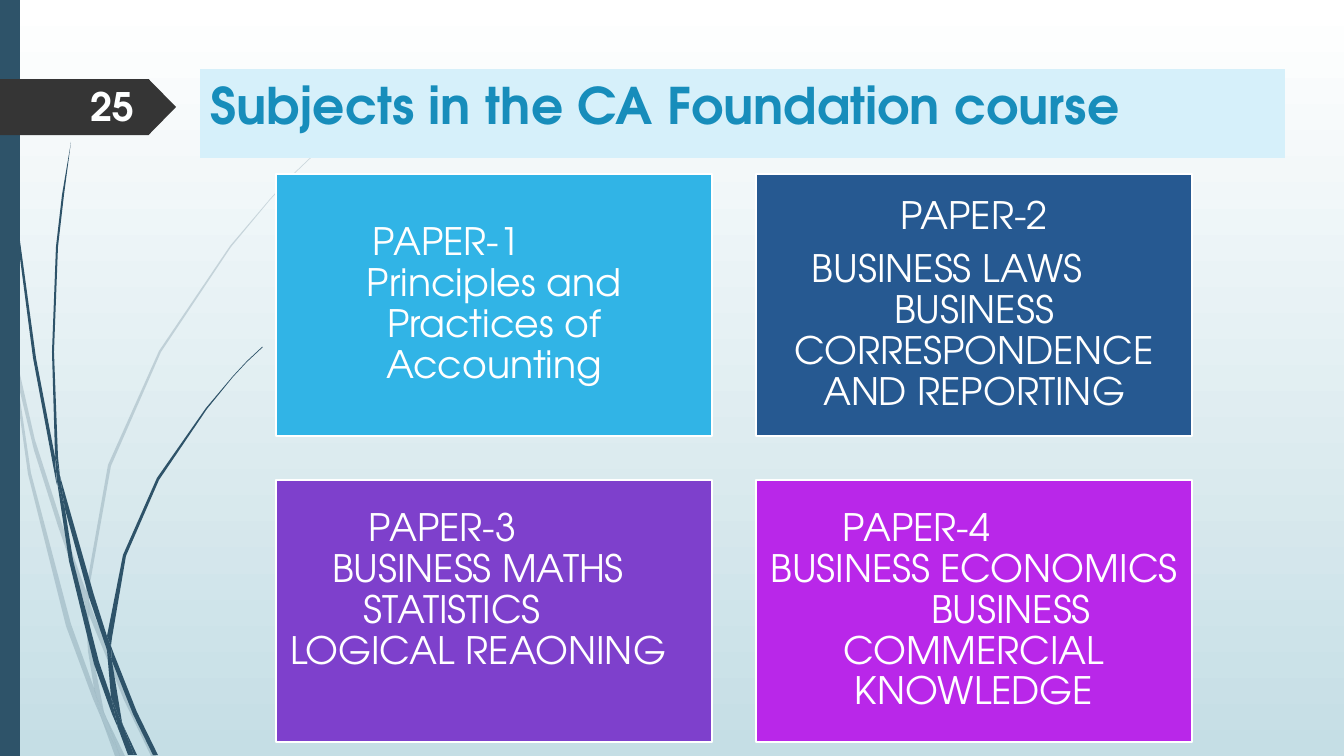
"""Build the slide on the subjects of the CA Foundation course."""
from lxml.etree import SubElement
from pptx import Presentation
from pptx.dml.color import RGBColor
from pptx.enum.shapes import MSO_SHAPE as Shape
from pptx.enum.text import MSO_ANCHOR as Anchor, MSO_AUTO_SIZE as AutoSize, PP_ALIGN as Align
from pptx.oxml.ns import qn
from pptx.util import Emu, Pt

SCALE = 914400 / 100.8
WIDTH, HEIGHT = 1344, 756
NAVY, WHITE = "2E5369", "FFFFFF"

FADED_BLADES = [
    [(11, 353), (9, 325), (0, 284), (0, 301), (10, 347)],
    [(58, 526), (85, 604), (86, 591), (62, 524), (35, 440), (14, 348), (17, 379), (34, 450)],
    [(93, 612), (89, 601), (89, 615), (124, 700), (151, 756), (156, 756), (128, 698)],
    [(120, 756), (125, 756), (106, 717)],
    [(94, 688), (71, 624), (31, 473), (17, 379), (11, 353), (28, 474), (66, 626), (93, 699),
     (102, 720), (100, 713)],
    [(85, 604), (88, 651), (94, 688), (97, 698), (106, 717), (104, 712), (92, 651), (89, 615),
     (89, 613)],
    [(89, 589), (111, 466), (161, 352), (231, 247), (270, 200), (292, 176), (314, 155),
     (314, 154), (291, 176), (270, 199), (230, 246), (159, 351), (108, 465), (86, 589),
     (86, 591), (89, 601)],
    [(102, 720), (115, 756), (120, 756)],
    [(89, 613), (89, 615), (89, 601), (86, 591), (85, 604)],
    [(97, 698), (94, 688), (100, 713), (102, 720), (120, 756), (106, 717)],
]
DARK_BLADES = [
    [(7, 111), (17, 235), (33, 358), (56, 481), (57, 485), (55, 461), (55, 457), (36, 358),
     (19, 234), (8, 110), (5, 48), (4, 0), (3, 0), (4, 48)],
    [(89, 597), (107, 650), (107, 638), (107, 636), (94, 595), (60, 476), (65, 509)],
    [(114, 654), (111, 646), (112, 661), (133, 714), (153, 755), (158, 755), (137, 712)],
    [(111, 697), (99, 662), (73, 560), (65, 509), (57, 481), (69, 561), (94, 664), (112, 714),
     (118, 728), (117, 723)],
    [(60, 476), (58, 457), (54, 352), (58, 247), (64, 195), (71, 142), (62, 195), (56, 247),
     (52, 352), (55, 453)],
    [(134, 755), (137, 755), (123, 725)],
    [(57, 481), (65, 509), (60, 476), (55, 453), (55, 457)],
    [(112, 638), (126, 556), (159, 480), (207, 409), (233, 377), (247, 362), (263, 347),
     (262, 347), (247, 361), (233, 376), (206, 408), (157, 478), (123, 555), (107, 636),
     (111, 646)],
    [(118, 728), (128, 755), (132, 755)],
    [(107, 650), (111, 697), (117, 712), (123, 725), (122, 722), (112, 661), (110, 656)],
    [(107, 650), (110, 656), (112, 661), (111, 646), (107, 636)],
    [(117, 712), (111, 697), (117, 723), (118, 728), (131, 755), (134, 755), (123, 725)],
]

PAPERS = [
    ("31B4E6", 11, [("PAPER-1", 86, 0), ("Principles and Practices of Accounting", None, 0)]),
    ("265991", 11, [("PAPER-2", None, 9), ("BUSINESS LAWS", 45, 0),
                    ("BUSINESS CORRESPONDENCE AND REPORTING", None, 0)]),
    ("7E40CC", 52, [("PAPER-3", 82, 0), ("BUSINESS MATHS", 45, 0), ("STATISTICS", 77, 0),
                    ("LOGICAL REAONING", 3, 0)]),
    ("B927E9", 11, [("PAPER-4", 76, 0), ("BUSINESS ECONOMICS", None, 0), ("BUSINESS", 164, 0),
                    ("COMMERCIAL KNOWLEDGE", None, 0)]),
]


def px(length):
    return Emu(round(length * SCALE))


def ink(code):
    return RGBColor.from_string(code)


class SlideMaker:
    font = "TeX Gyre Adventor"

    def __init__(self, slide):
        self.slide = slide

    def background(self, top, bottom):
        fill = self.slide.background.fill
        fill.gradient()
        fill.gradient_angle = 270
        for stop, position, code in zip(fill.gradient_stops, (0, 1), (top, bottom)):
            stop.position = position
            stop.color.rgb = ink(code)

    def paint(self, shape, fill, outline=None):
        shape.shadow.inherit = False
        shape.fill.solid()
        shape.fill.fore_color.rgb = ink(fill)
        if outline:
            shape.line.color.rgb = ink(outline)
            shape.line.width = Pt(1.25)
        else:
            shape.line.fill.background()

    def format(self, para, size, color, bold=False):
        for span in para.runs:
            span.font.name = self.font
            span.font.size = Pt(size)
            span.font.bold = bold
            span.font.color.rgb = ink(color)

    def blade(self, outline, alpha=None):
        start, *others = [(px(x), px(y)) for x, y in outline]
        builder = self.slide.shapes.build_freeform(*start)
        builder.add_line_segments(others, close=True)
        shape = builder.convert_to_shape()
        self.paint(shape, NAVY)
        if alpha:
            color = shape.fill._xPr.find(qn("a:solidFill"))[0]
            SubElement(color, qn("a:alpha")).set("val", str(alpha * 1000))

    def block(self, kind, bounds, fill, outline=None):
        shape = self.slide.shapes.add_shape(kind, *map(px, bounds))
        self.paint(shape, fill, outline)
        return shape

    def title(self, text, bounds):
        title = self.slide.shapes.title
        self.slide.shapes._spTree.append(title._element)
        title.left, title.top, title.width, title.height = map(px, bounds)
        title.fill.solid()
        title.fill.fore_color.rgb = ink("D6F0FA")
        frame = title.text_frame
        frame.text = text
        frame.auto_size = AutoSize.NONE
        frame.vertical_anchor = Anchor.TOP
        para = frame.paragraphs[0]
        para.alignment = Align.LEFT
        self.format(para, 36, "178DBB", bold=True)

    def number(self, text, bounds):
        box = self.slide.shapes.add_textbox(*map(px, bounds))
        frame = box.text_frame
        frame.text = text
        frame.word_wrap = True
        frame.vertical_anchor = Anchor.MIDDLE
        para = frame.paragraphs[0]
        para.alignment = Align.RIGHT
        self.format(para, 28, "FEFFFF", bold=True)

    def paper(self, bounds, fill, bottom_inset, lines):
        frame = self.block(Shape.RECTANGLE, bounds, fill, WHITE).text_frame
        frame.word_wrap = True
        frame.vertical_anchor = Anchor.MIDDLE
        frame.margin_left = frame.margin_right = frame.margin_top = px(11)
        frame.margin_bottom = px(bottom_inset)
        frame.text = "\n".join(text for text, _, _ in lines)
        for para, (_, indent, gap) in zip(frame.paragraphs, lines):
            para.alignment = Align.CENTER if indent is None else Align.LEFT
            if indent:
                para._p.get_or_add_pPr().set("marL", str(px(indent)))
            para.line_spacing = 0.9
            para.space_after = Pt(gap)
            self.format(para, 27, WHITE)


def main():
    deck = Presentation()
    deck.slide_width, deck.slide_height = px(WIDTH), px(HEIGHT)
    page = SlideMaker(deck.slides.add_slide(deck.slide_layouts[5]))
    page.background(WHITE, "C5DEE5")
    for outline in FADED_BLADES:
        page.blade(outline, alpha=20)
    for outline in DARK_BLADES:
        page.blade(outline)
    page.block(Shape.RECTANGLE, (0, 0, 20, HEIGHT), NAVY)
    tag = page.block(Shape.PENTAGON, (0, 79, 176, 56), "353535")
    tag.adjustments[0] = 0.49
    page.title("Subjects in the CA Foundation course", (200, 69, 1085, 89))
    for i, (fill, bottom_inset, lines) in enumerate(PAPERS):
        row, column = divmod(i, 2)
        page.paper((276 + 480 * column, 174 + 306 * row, 436, 262), fill, bottom_inset, lines)
    page.number("25", (60, 84, 84, 43))
    deck.save("out.pptx")


if __name__ == "__main__":
    main()
